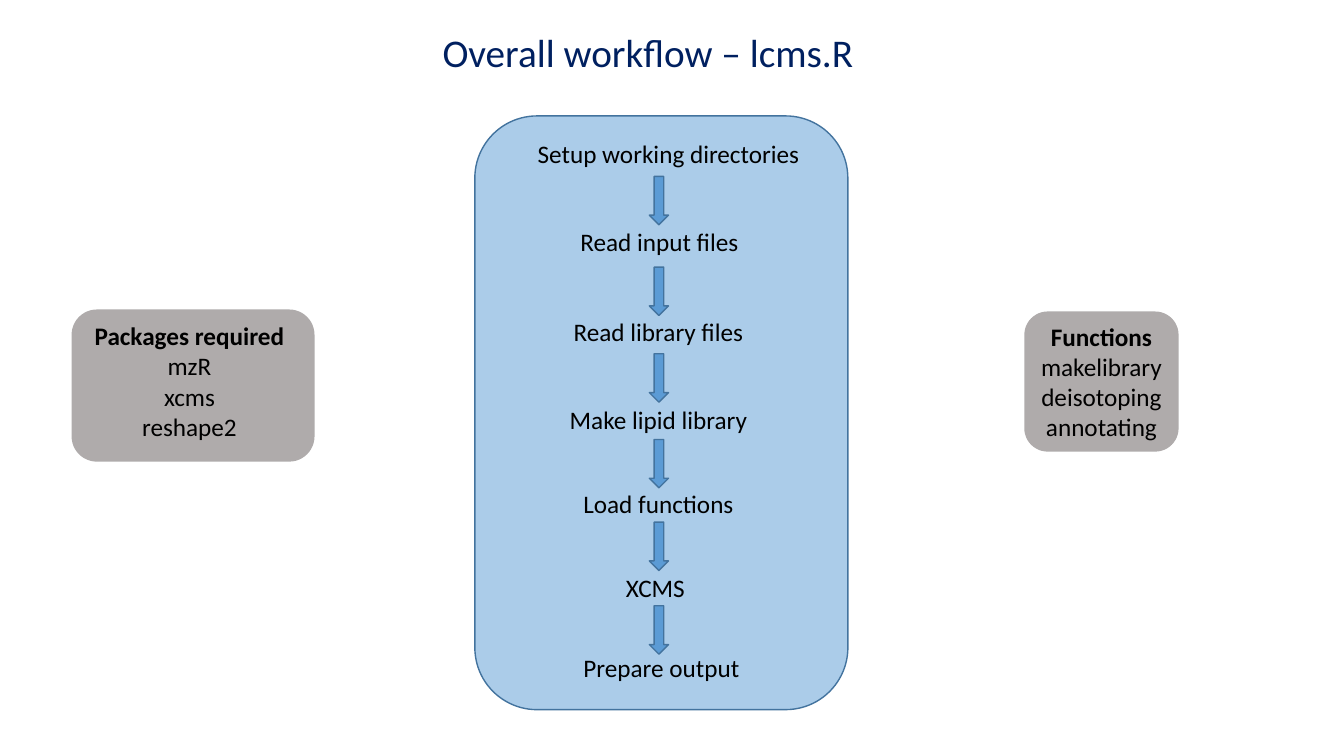
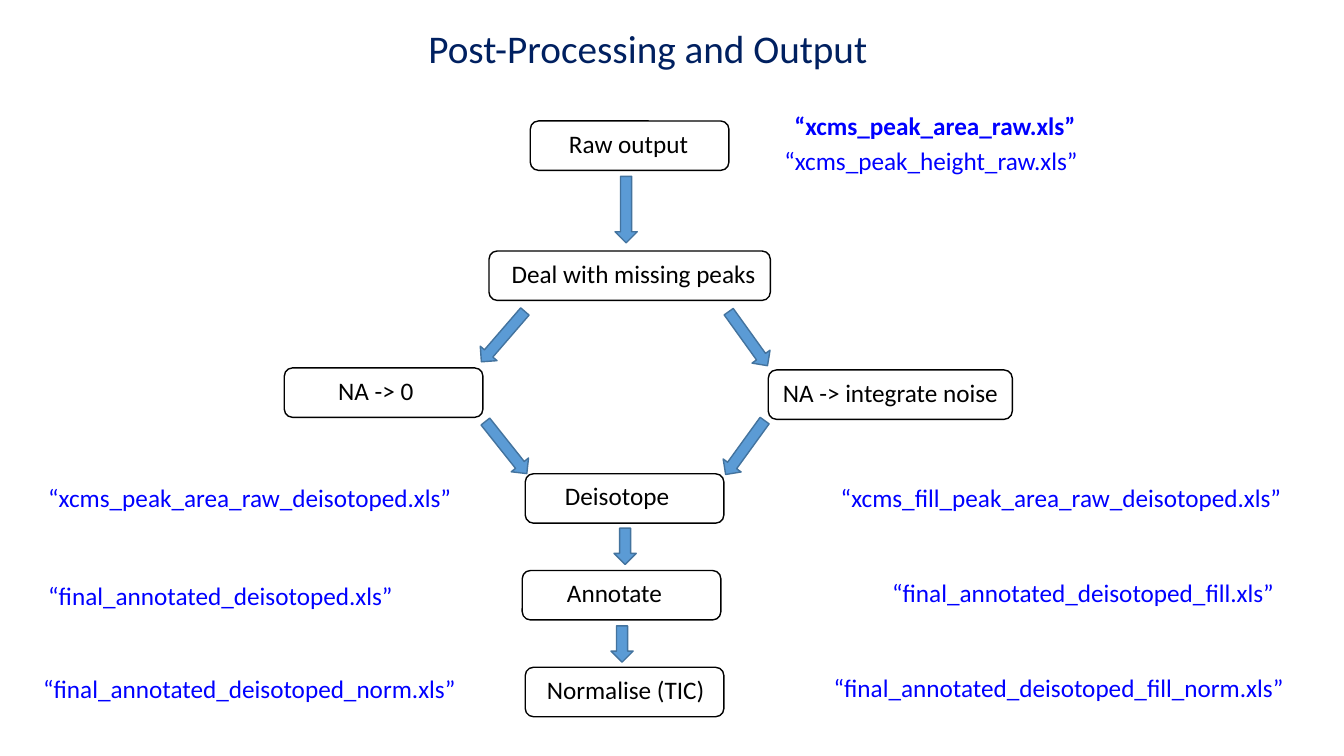
"""Builds two workflow slides: the overall processing steps and the post-processing outputs."""
import pptx
import pptx.util
import pptx.dml.color
import pptx.enum.shapes
import pptx.enum.text
import pptx.oxml
import pptx.oxml.ns
from pptx.util import Inches

FONT = "Calibri"
BLACK, NAVY, LINK = "000000", "002060", "0000FF"
BLUE, BLUE_EDGE, GREY = "5B9BD5", "43739E", "AFABAB"
SHAPES = pptx.enum.shapes.MSO_SHAPE
CENTER = pptx.enum.text.PP_ALIGN.CENTER
LEFT = pptx.enum.text.PP_ALIGN.LEFT
INSETS = (0.1, 0.05, 0.1, 0.05)

STEP_WIDTH = 3.75
STEPS = [
    ("Setup working directories", 6.63, 1.32),
    ("Read input files", 6.54, 2.2),
    ("Read library files", 6.53, 3.09),
    ("Make lipid library", 6.53, 3.96),
    ("Load functions", 6.53, 4.8),
    ("XCMS", 6.5, 5.63),
    ("Prepare output", 6.56, 6.42),
]
STEP_ARROW_TOPS = [1.75, 2.65, 3.51, 4.36, 5.18, 6.01]
SIDE_PANELS = [
    (["Packages required", "mzR", "xcms", "reshape2"],
     (0.71, 3.07, 2.41, 1.51), (0.02, 0, 0.09, 0.09)),
    (["Functions", "makelibrary", "deisotoping", "annotating"],
     (10.16, 3.09, 1.53, 1.39), (0.02, 0, 0.02, 0)),
]

STAGE_HEIGHT = 0.49
STAGES = [
    ("Raw output", 5.26, 1.2, 1.97, 0.36),
    ("Deal with missing peaks", 4.85, 2.49, 2.79, 0.2),
    ("NA -> 0", 2.82, 3.65, 1.97, 0.51),
    ("NA -> integrate noise", 7.62, 3.67, 2.42, 0.12),
    ("Deisotope", 5.21, 4.7, 1.97, 0.37),
    ("Annotate", 5.18, 5.66, 1.97, 0.42),
    ("Normalise (TIC)", 5.21, 6.62, 1.97, 0.19),
]
STAGE_ARROWS = [
    (6.1, 1.75, 0.66, 0),
    (4.88, 3.01, 0.66, 40.8),
    (7.31, 3.03, 0.66, 324.3),
    (4.91, 4.11, 0.66, 321.5),
    (7.28, 4.11, 0.66, 35.9),
    (6.09, 5.24, 0.36, 0),
    (6.06, 6.21, 0.36, 0),
]
FILES = [
    ("“xcms_peak_area_raw.xls”", 7.78, 1.05, 4.78, True),
    ("“xcms_peak_height_raw.xls”", 7.68, 1.39, 4.78, False),
    ("“xcms_peak_area_raw_deisotoped.xls”", 0.38, 4.74, 4.46, False),
    ("“xcms_fill_peak_area_raw_deisotoped.xls”", 8.24, 4.74, 4.78, False),
    ("“final_annotated_deisotoped.xls”", 0.38, 5.71, 4.46, False),
    ("“final_annotated_deisotoped_fill.xls”", 8.75, 5.68, 4.46, False),
    ("“final_annotated_deisotoped_norm.xls”", 0.33, 6.63, 4.46, False),
    ("“final_annotated_deisotoped_fill_norm.xls”", 8.17, 6.62, 4.77, False),
]


def color(value):
    return pptx.dml.color.RGBColor.from_string(value)


def write(shape, lines, size=18, ink=BLACK, align=CENTER, bold_first=False,
          insets=INSETS, anchor=pptx.enum.text.MSO_ANCHOR.TOP):
    frame = shape.text_frame
    frame.word_wrap = True
    frame.vertical_anchor = anchor
    (frame.margin_left, frame.margin_top,
     frame.margin_right, frame.margin_bottom) = map(Inches, insets)
    for index, line in enumerate(lines):
        paragraph = frame.add_paragraph() if index else frame.paragraphs[0]
        paragraph.alignment = align
        run = paragraph.add_run()
        run.text = line
        run.font.name = FONT
        run.font.size = pptx.util.Pt(size)
        run.font.bold = bold_first and index == 0
        run.font.color.rgb = color(ink)


def add_text(slide, text, left, top, width, height=0.4, **style):
    box = slide.shapes.add_textbox(*map(Inches, (left, top, width, height)))
    write(box, [text], **style)


def add_box(slide, kind, bounds, fill=None, edge=None, opacity=None):
    shape = slide.shapes.add_shape(kind, *map(Inches, bounds))
    shape.shadow.inherit = False
    if fill:
        shape.fill.solid()
        shape.fill.fore_color.rgb = color(fill)
    else:
        shape.fill.background()
    if opacity:
        tint = shape.fill._xPr.find(".//" + pptx.oxml.ns.qn("a:srgbClr"))
        alpha = pptx.oxml.parse_xml(
            f'<a:alpha {pptx.oxml.ns.nsdecls("a")} val="{opacity * 1000}"/>')
        tint.append(alpha)
    if edge:
        shape.line.color.rgb = color(edge)
        shape.line.width = pptx.util.Pt(1)
    else:
        shape.line.fill.background()
    return shape


def add_arrow(slide, left, top, width, height, rotation=0):
    arrow = add_box(slide, SHAPES.DOWN_ARROW, (left, top, width, height), BLUE, BLUE_EDGE)
    arrow.rotation = rotation


def add_titled_slide(presentation, title, top):
    slide = presentation.slides.add_slide(presentation.slide_layouts[6])
    add_text(slide, title, 0.94, top, 10.97, 0.57, size=28, ink=NAVY)
    return slide


def build_workflow(presentation):
    slide = add_titled_slide(presentation, "Overall workflow – lcms.R", 0.23)
    add_box(slide, SHAPES.ROUNDED_RECTANGLE, (4.71, 1.15, 3.7, 5.89), BLUE, BLUE_EDGE, opacity=51)
    for lines, bounds, insets in SIDE_PANELS:
        panel = add_box(slide, SHAPES.ROUNDED_RECTANGLE, bounds, GREY)
        write(panel, lines, bold_first=True, insets=insets,
              anchor=pptx.enum.text.MSO_ANCHOR.MIDDLE)
    for text, center, top in STEPS:
        add_text(slide, text, center - STEP_WIDTH / 2, top, STEP_WIDTH)
    for top in STEP_ARROW_TOPS:
        add_arrow(slide, 6.44, top, 0.19, 0.48)


def build_outputs(presentation):
    slide = add_titled_slide(presentation, "Post-Processing and Output", 0.19)
    for text, left, top, width, indent in STAGES:
        stage = add_box(slide, SHAPES.ROUNDED_RECTANGLE,
                        (left, top, width, STAGE_HEIGHT), edge=BLACK)
        write(stage, [text], align=LEFT, insets=(indent, 0.05, 0, 0.1),
              anchor=pptx.enum.text.MSO_ANCHOR.MIDDLE)
    for left, top, height, rotation in STAGE_ARROWS:
        add_arrow(slide, left, top, 0.22, height, rotation)
    for text, left, top, width, bold in FILES:
        add_text(slide, text, left, top, width, ink=LINK, align=LEFT, bold_first=bold)


def main():
    presentation = pptx.Presentation()
    presentation.slide_width = Inches(13.33)
    presentation.slide_height = Inches(7.5)
    build_workflow(presentation)
    build_outputs(presentation)
    presentation.save("out.pptx")


if __name__ == "__main__":
    main()
